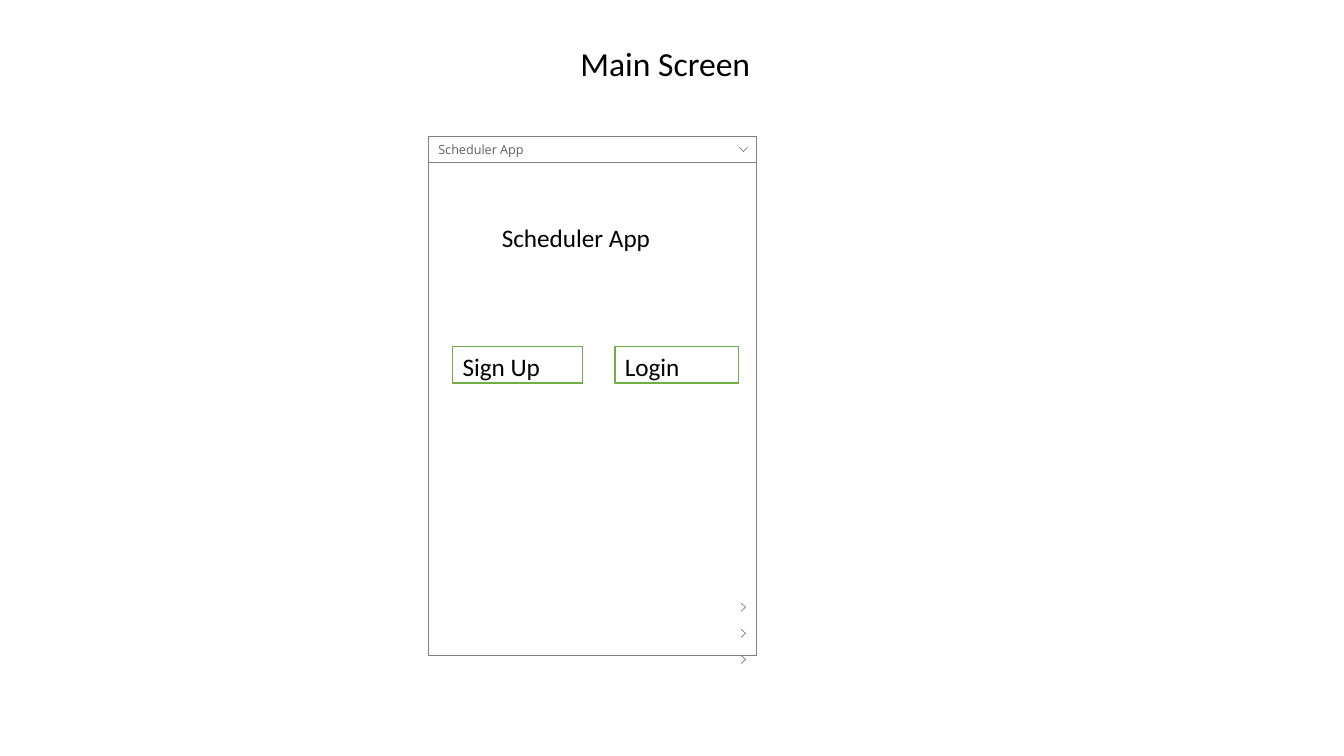
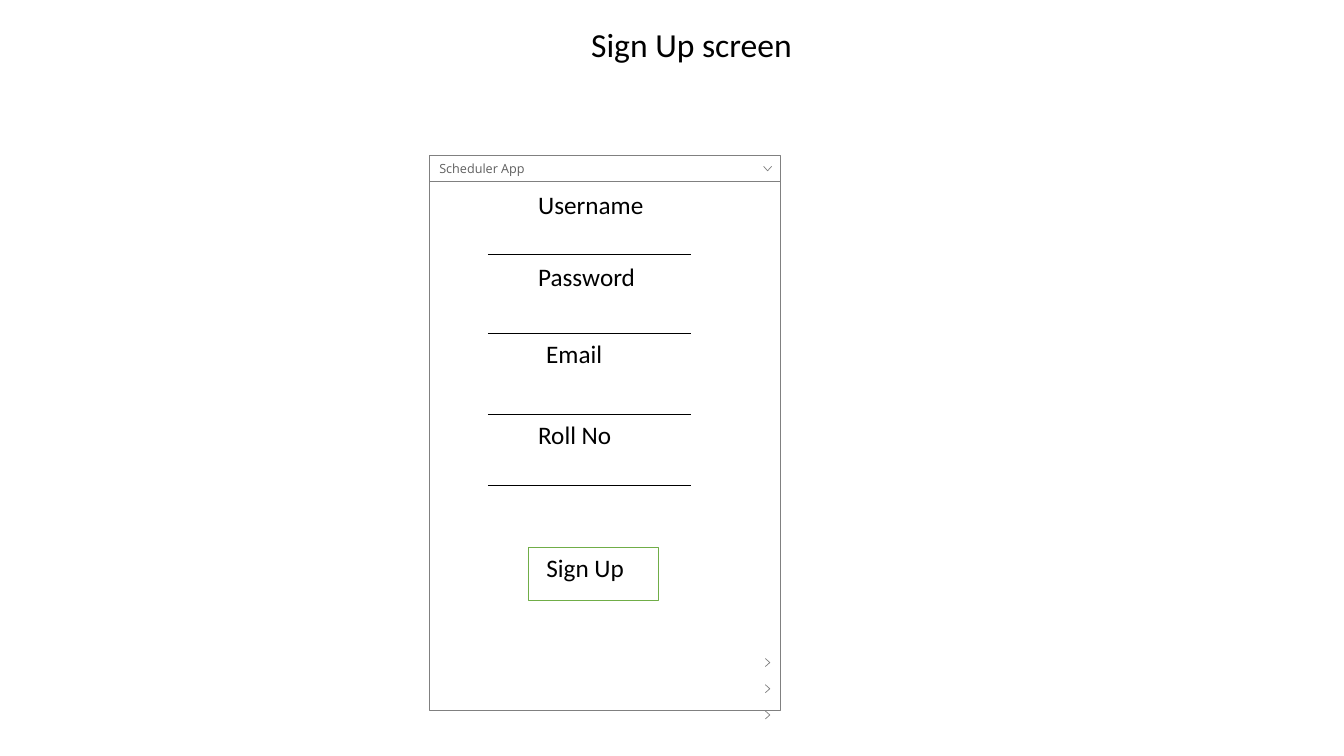
import dataclasses

import pptx
import pptx.dml.color
import pptx.enum.shapes
import pptx.enum.text
import pptx.oxml
import pptx.oxml.ns
import pptx.util

ALIGN = pptx.enum.text.PP_ALIGN
ANCHOR = pptx.enum.text.MSO_ANCHOR
FIT = pptx.enum.text.MSO_AUTO_SIZE
RECTANGLE = pptx.enum.shapes.MSO_SHAPE.RECTANGLE
STRAIGHT = pptx.enum.shapes.MSO_CONNECTOR.STRAIGHT


@dataclasses.dataclass(frozen=True)
class Theme:
    ink: str = "000000"
    paper: str = "FFFFFF"
    frame: str = "808080"
    bar_text: str = "5F5F5F"
    accent: str = "70AD47"
    font: str = "Calibri"
    bar_font: str = "Open Sans"
    title_size: float = 24
    label_size: float = 18
    bar_size: float = 9
    thin: float = 0.5
    button_line: float = 1


THEME = Theme()
APP_NAME = "Scheduler App"

# The grid has square cells; ten make an inch
SLIDE_COLUMNS, SLIDE_ROWS = 133.33, 75
BAR_ROWS = 2.6
LABEL_ROWS = 4


def cells(count):
    return pptx.util.Inches(count / 10)


def place(left, top, width, height):
    return [cells(value) for value in (left, top, width, height)]


def rgb(color):
    return pptx.dml.color.RGBColor.from_string(color)


# Formatting shared by all elements
def set_line(line, color, width):
    line.color.rgb = rgb(color)
    line.width = pptx.util.Pt(width)


def write(frame, text, size=THEME.label_size, font=THEME.font,
          color=THEME.ink, align=ALIGN.LEFT, anchor=ANCHOR.TOP):
    frame.text = text
    frame.word_wrap = True
    frame.vertical_anchor = anchor
    paragraph = frame.paragraphs[0]
    paragraph.alignment = align
    run_font = paragraph.runs[0].font
    run_font.size = pptx.util.Pt(size)
    run_font.name = font
    run_font.color.rgb = rgb(color)
    return paragraph


# Elements
def add_titled_slide(deck, title, box):
    slide = deck.slides.add_slide(deck.slide_layouts[5])
    heading = slide.shapes.title
    heading.left, heading.top, heading.width, heading.height = place(*box)
    frame = heading.text_frame
    frame.auto_size = FIT.NONE
    paragraph = write(frame, title, THEME.title_size, align=ALIGN.CENTER)
    paragraph.line_spacing = 0.9
    paragraph.space_before = pptx.util.Pt(10)
    return slide


def add_box(shapes, box, line_color, line_width):
    panel = shapes.add_shape(RECTANGLE, *place(*box))
    panel.shadow.inherit = False
    panel.fill.solid()
    panel.fill.fore_color.rgb = rgb(THEME.paper)
    set_line(panel.line, line_color, line_width)
    return panel


def add_chevron(shapes, left, top, rotation=0):
    builder = shapes.build_freeform(cells(left), cells(top))
    builder.add_line_segments(
        [(cells(left + 0.4), cells(top + 0.45)), (cells(left + 0.8), cells(top))],
        close=False)
    chevron = builder.convert_to_shape()
    chevron.shadow.inherit = False
    chevron.fill.background()
    set_line(chevron.line, THEME.frame, THEME.thin)
    chevron.rotation = rotation


def add_phone(slide, left, top, width, height):
    shapes = slide.shapes.add_group_shape().shapes
    bottom = top + height
    chevron_left = left + width - 1.65

    # Title bar with its menu chevron
    bar = add_box(shapes, (left, top, width, BAR_ROWS), THEME.frame, THEME.thin)
    bar.text_frame.margin_right = cells(2.5)
    write(bar.text_frame, APP_NAME, THEME.bar_size, THEME.bar_font,
          THEME.bar_text, anchor=ANCHOR.MIDDLE)
    add_chevron(shapes, chevron_left, top + 1.1)

    # Screen with its row chevrons
    add_box(shapes, (left, top + BAR_ROWS, width, height - BAR_ROWS),
            THEME.frame, THEME.thin)
    for row in range(3):
        add_chevron(shapes, chevron_left, bottom - 5 + row * BAR_ROWS, 270)


def add_label(slide, text, left, top, width):
    label = slide.shapes.add_textbox(*place(left, top, width, LABEL_ROWS))
    write(label.text_frame, text)
    label.text_frame.auto_size = FIT.SHAPE_TO_FIT_TEXT


def add_button(slide, text, box, indent=1):
    button = add_box(slide.shapes, box, THEME.accent, THEME.button_line)
    button.text_frame.margin_left = cells(indent)
    button.text_frame.margin_bottom = 0
    write(button.text_frame, text)


def add_entry_line(slide, left, right, row):
    entry = slide.shapes.add_connector(
        STRAIGHT, cells(left), cells(row), cells(right), cells(row))
    set_line(entry.line, THEME.ink, THEME.thin)
    properties = entry.element.find(pptx.oxml.ns.qn("p:spPr"))
    properties.append(pptx.oxml.parse_xml(
        "<a:effectLst %s/>" % pptx.oxml.ns.nsdecls("a")))


# Slides
def add_main_screen(deck):
    slide = add_titled_slide(deck, "Main Screen", (16, 4.2, 100, 7.3))
    add_phone(slide, 42.5, 13.5, 32.5, 51.5)
    add_label(slide, APP_NAME, 48.8, 21.6, 20)
    for text, left, width in (("Sign Up", 44.9, 12.9), ("Login", 61, 12.3)):
        add_button(slide, text, (left, 34.4, width, 3.6))


def add_sign_up_screen(deck):
    slide = add_titled_slide(deck, "Sign Up screen", (18.6, 2.3, 100, 6.8))
    add_phone(slide, 42.6, 15.4, 34.8, 55.1)
    fields = (
        ("Username", 52.4, 18.3, 25.2),
        ("Password", 52.4, 25.4, 33.1),
        ("Email", 53.2, 33.1, 41.1),
        ("Roll No", 52.4, 41.1, 48.2),
    )
    for text, left, label_row, line_row in fields:
        add_label(slide, text, left, label_row, 13.7)
        add_entry_line(slide, 48.4, 68.6, line_row)
    add_button(slide, "Sign Up", (52.4, 54.3, 12.9, 5.3), indent=1.8)


def main():
    deck = pptx.Presentation()
    deck.slide_width = cells(SLIDE_COLUMNS)
    deck.slide_height = cells(SLIDE_ROWS)
    add_main_screen(deck)
    add_sign_up_screen(deck)
    deck.save("out.pptx")


main()
